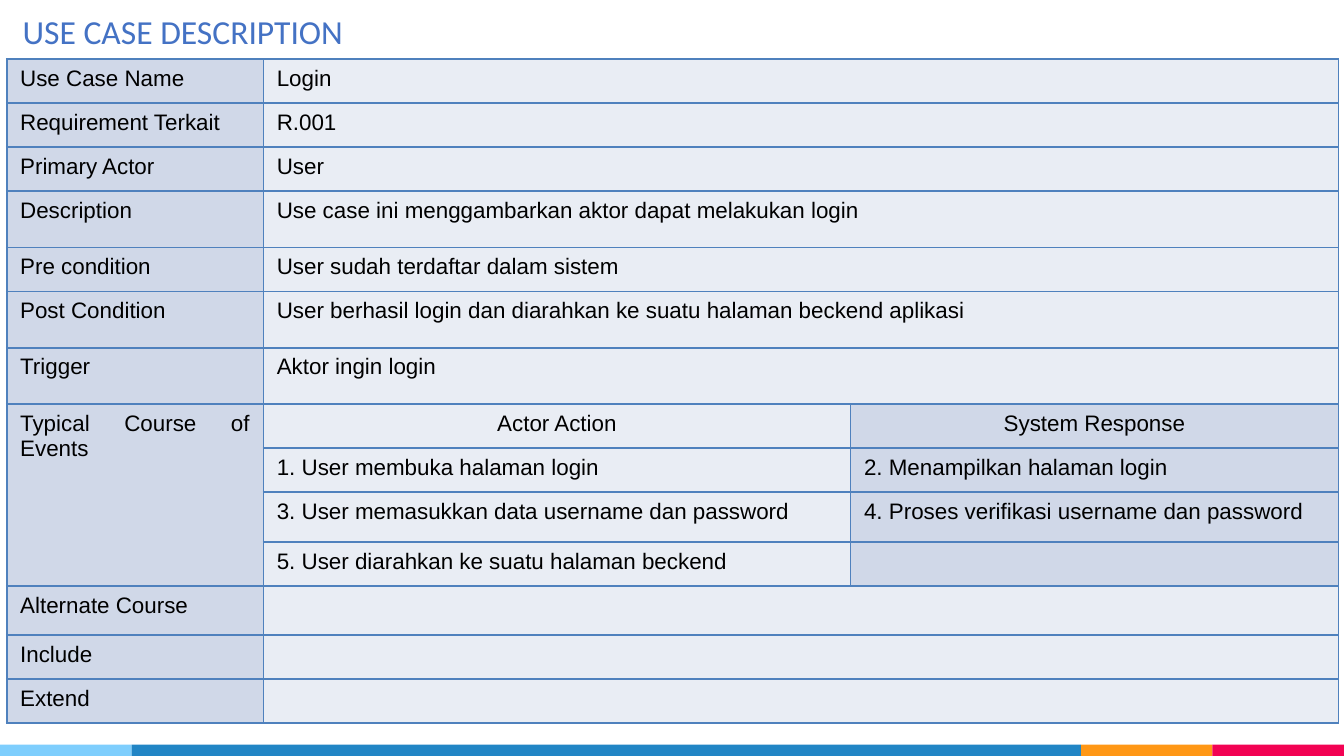
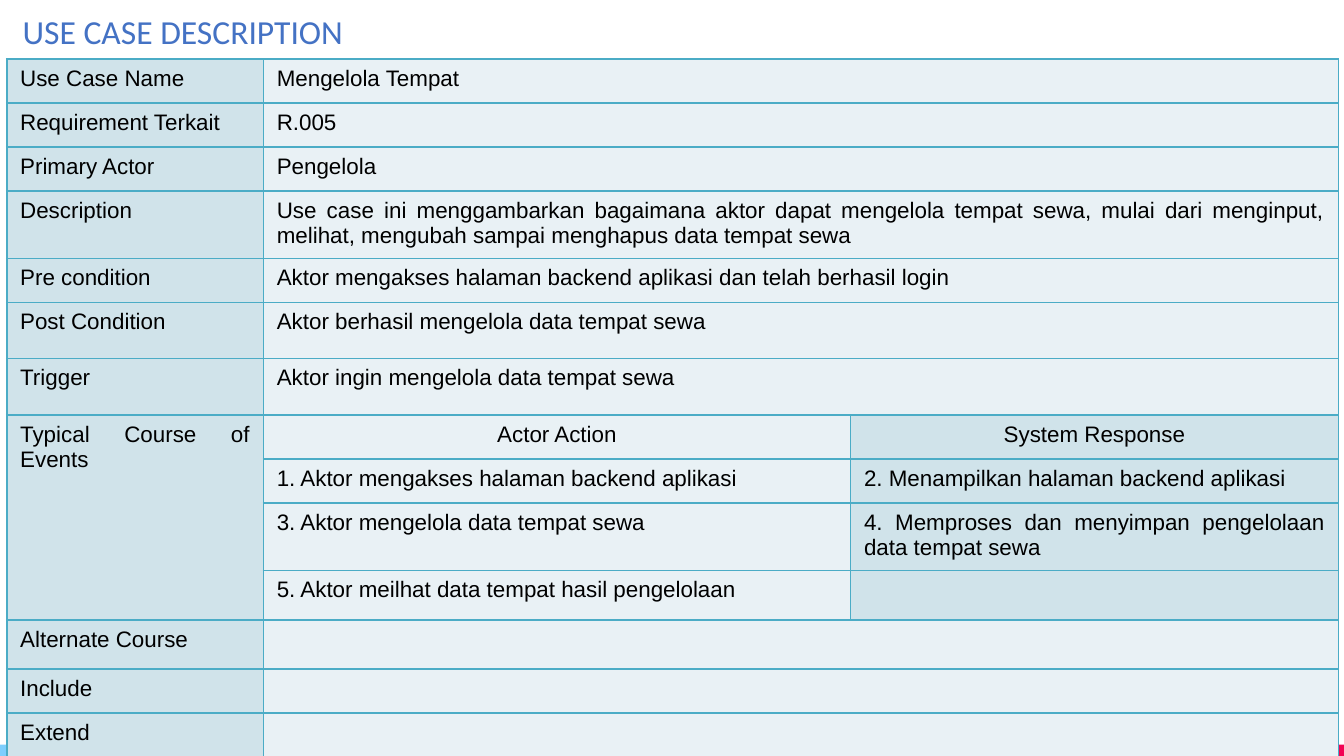
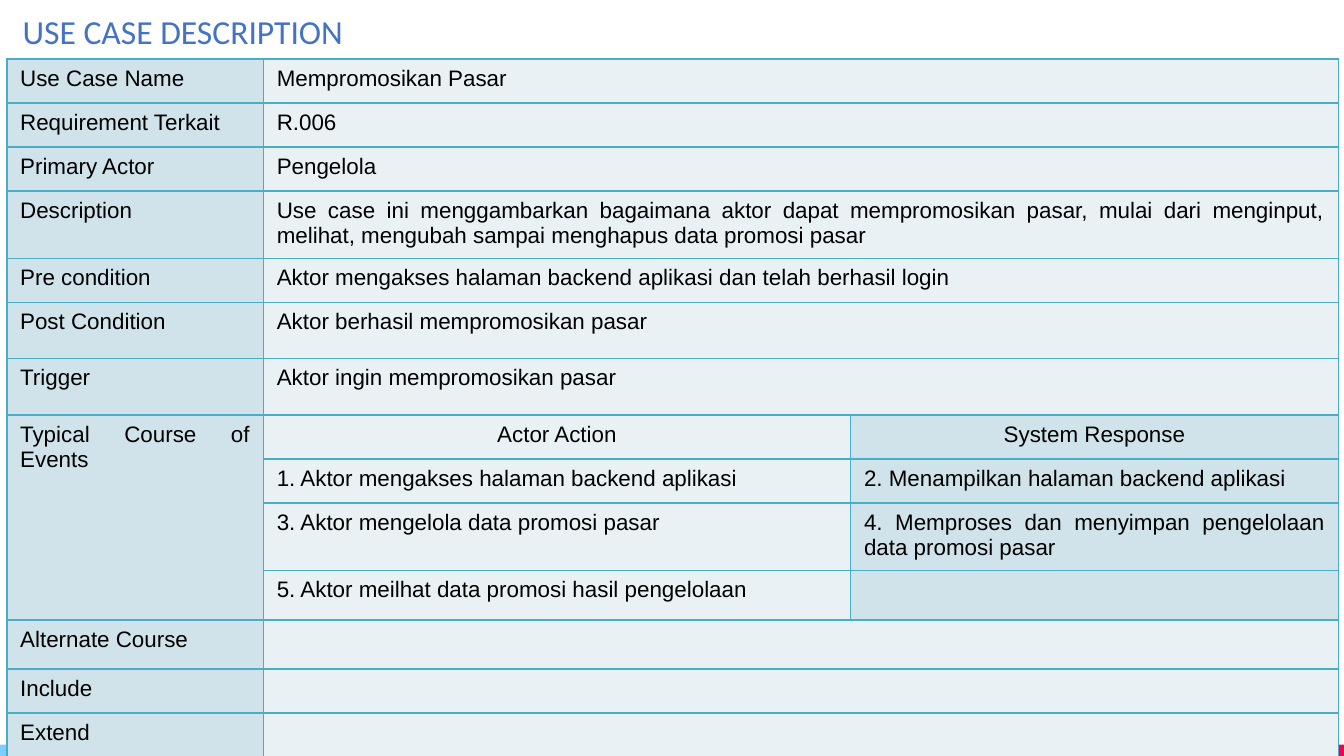
from dataclasses import dataclass

from lxml import etree
from pptx import Presentation
from pptx import util as u
from pptx.dml import color
from pptx.enum import shapes, text
from pptx.oxml import ns

Pt = u.Pt
ALIGN = text.PP_ALIGN
BLACK, TITLE_COLOR = "000000", "4472C4"
COLUMNS = (137.5, 314.6, 261.4)
SHORT, LOW, MEDIUM, TALL = 23.6, 26.3, 26.7, 30.2
TOP_LABELS = ("Use Case Name", "Requirement Terkait", "Primary Actor", "Description",
              "Pre condition", "Post Condition", "Trigger")
BOTTOM_LABELS = ("Alternate Course", "Include", "Extend")
COURSE_LABEL = "Typical Course of Events"
COURSE_HEADER = ("Actor Action", "System Response")


@dataclass(frozen=True)
class Band:
    left: float
    width: float
    fill: str


@dataclass(frozen=True)
class Palette:
    dark: str
    light: str
    border: str


@dataclass(frozen=True)
class UseCase:
    palette: Palette
    details: tuple[str, ...]
    steps: tuple[tuple[str, str], ...]
    last_step_height: float


BANDS = (
    Band(579, 70.5, "FF9715"),
    Band(649.5, 70.5, "F20253"),
    Band(0, 70.5, "7ECEFD"),
    Band(70.5, 508.5, "2185C5"),
)
BLUE = Palette("D0D8E8", "E9EDF4", "4F81BD")
AQUA = Palette("D0E3EA", "E9F1F5", "4BACC6")


def managed_case(name: str, code: str, action: str, subject: str, place: str) -> UseCase:
    return UseCase(
        AQUA,
        (name, code, "Pengelola",
         f"Use case ini menggambarkan bagaimana aktor dapat {action}, mulai dari menginput, "
         f"melihat, mengubah sampai menghapus data {subject}",
         "Aktor mengakses halaman backend aplikasi dan telah berhasil login",
         f"Aktor berhasil {place}", f"Aktor ingin {place}"),
        (("1. Aktor mengakses halaman backend aplikasi",
          "2. Menampilkan halaman backend aplikasi"),
         (f"3. Aktor mengelola data {subject}",
          f"4. Memproses dan menyimpan pengelolaan data {subject}"),
         (f"5. Aktor meilhat data {subject.split()[0]} hasil pengelolaan", "")),
        MEDIUM,
    )


USE_CASES = (
    UseCase(
        BLUE,
        ("Login", "R.001", "User",
         "Use case ini menggambarkan aktor dapat melakukan login",
         "User sudah terdaftar dalam sistem",
         "User berhasil login dan diarahkan ke suatu halaman beckend aplikasi",
         "Aktor ingin login"),
        (("1. User membuka halaman login", "2. Menampilkan halaman login"),
         ("3. User memasukkan data username dan password",
          "4. Proses verifikasi username dan password"),
         ("5. User diarahkan ke suatu halaman beckend", "")),
        SHORT,
    ),
    managed_case("Mengelola Tempat", "R.005", "mengelola tempat sewa",
                 "tempat sewa", "mengelola data tempat sewa"),
    managed_case("Mempromosikan Pasar", "R.006", "mempromosikan pasar",
                 "promosi pasar", "mempromosikan pasar"),
)


def rgb(value: str) -> color.RGBColor:
    return color.RGBColor.from_string(value)


def write(tf, content: str, *, size: float = 12, font: str = "Arial",
          fill: str = BLACK, align=ALIGN.JUSTIFY) -> None:
    p = tf.paragraphs[0]
    p.alignment = align
    if not content:
        end = etree.SubElement(p._p, ns.qn("a:endParaRPr"))
        end.set("sz", str(int(size * 100)))
        etree.SubElement(end, ns.qn("a:latin")).set("typeface", font)
        return
    r = p.add_run()
    r.text = content
    r.font.size = Pt(size)
    r.font.name = font
    r.font.color.rgb = rgb(fill)


def add_band(s, band: Band) -> None:
    sp = s.shapes.add_shape(shapes.MSO_SHAPE.RECTANGLE, Pt(band.left), Pt(399),
                            Pt(band.width), Pt(6))
    sp.shadow.inherit = False
    sp.fill.solid()
    sp.fill.fore_color.rgb = rgb(band.fill)
    sp.line.fill.background()


def add_title(s, content: str) -> None:
    sp = s.shapes.add_textbox(Pt(5), Pt(2.2), Pt(186), Pt(29))
    tf = sp.text_frame
    tf.word_wrap = False
    tf.auto_size = text.MSO_AUTO_SIZE.SHAPE_TO_FIT_TEXT
    write(tf, content, size=18, font="Calibri", fill=TITLE_COLOR, align=ALIGN.CENTER)


def style_cell(cell, fill: str, border: str) -> None:
    tc_pr = cell._tc.get_or_add_tcPr()
    for side in ("lnL", "lnR", "lnT", "lnB"):
        ln = etree.SubElement(tc_pr, ns.qn(f"a:{side}"), w=str(Pt(1)))
        solid = etree.SubElement(ln, ns.qn("a:solidFill"))
        etree.SubElement(solid, ns.qn("a:srgbClr"), val=border)
    cell.fill.solid()
    cell.fill.fore_color.rgb = rgb(fill)


def add_use_case_table(s, case: UseCase) -> None:
    rows = [(label, detail, "") for label, detail in zip(TOP_LABELS, case.details)]
    header = len(rows)
    rows.append((COURSE_LABEL, *COURSE_HEADER))
    rows += [("", *step) for step in case.steps]
    footer = len(rows)
    rows += [(label, "", "") for label in BOTTOM_LABELS]
    heights = (SHORT, SHORT, SHORT, TALL, SHORT, TALL, TALL, SHORT, SHORT,
               MEDIUM, case.last_step_height, LOW, SHORT, SHORT)

    frame = s.shapes.add_table(len(rows), len(COLUMNS), Pt(3.6), Pt(31.6),
                               Pt(sum(COLUMNS)), Pt(sum(heights)))
    table = frame.table
    table.first_row = table.horz_banding = False
    for column, width in zip(table.columns, COLUMNS):
        column.width = Pt(width)
    for i, (row, height) in enumerate(zip(rows, heights)):
        table.rows[i].height = Pt(height)
        in_course = header <= i < footer
        for j, content in enumerate(row):
            cell = table.cell(i, j)
            is_light = j == 1 or (j == 2 and not in_course)
            style_cell(cell, case.palette.light if is_light else case.palette.dark,
                       case.palette.border)
            write(cell.text_frame, content,
                  align=ALIGN.CENTER if i == header and j else ALIGN.JUSTIFY)
        if not in_course:
            table.cell(i, 1).merge(table.cell(i, 2))
    table.cell(header, 0).merge(table.cell(footer - 1, 0))


def main() -> None:
    prs = Presentation()
    prs.slide_width, prs.slide_height = Pt(720), Pt(405)
    for case in USE_CASES:
        s = prs.slides.add_slide(prs.slide_layouts[6])
        for band in BANDS:
            add_band(s, band)
        add_use_case_table(s, case)
        add_title(s, "USE CASE DESCRIPTION")
    prs.save("out.pptx")


if __name__ == "__main__":
    main()
